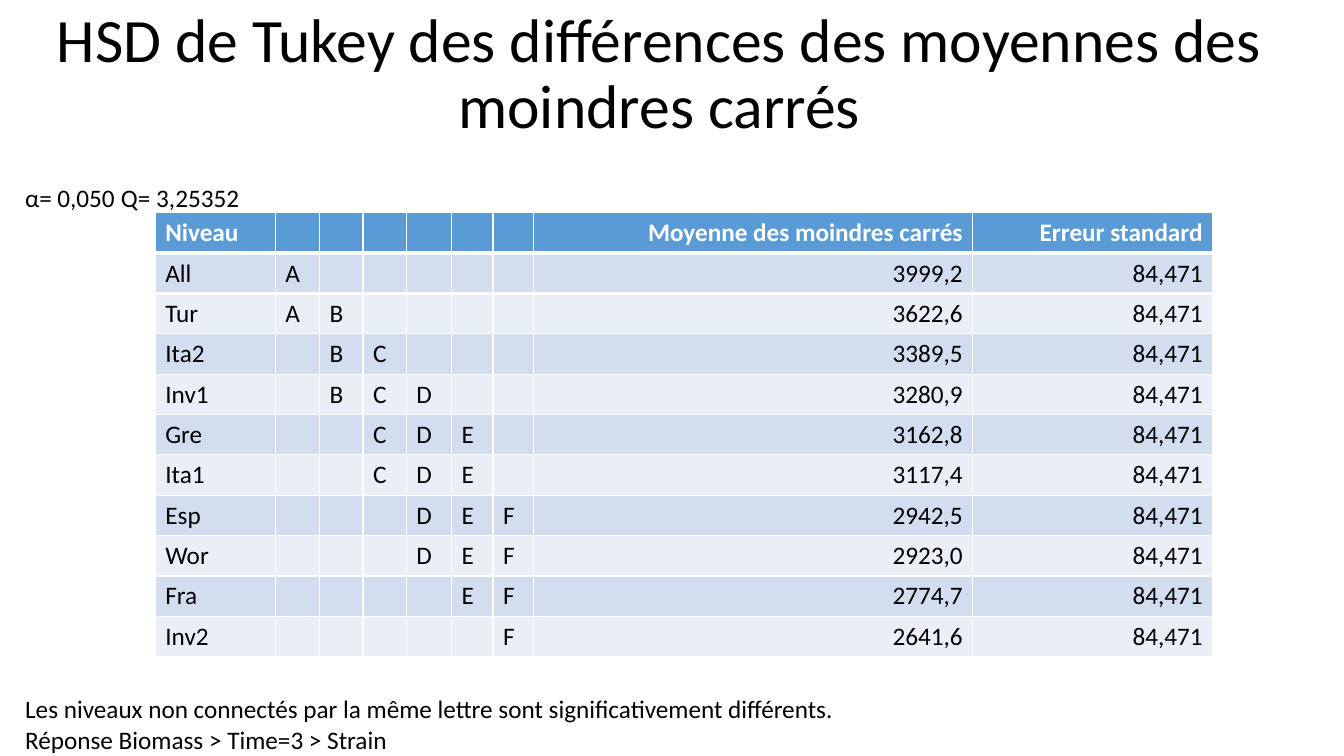
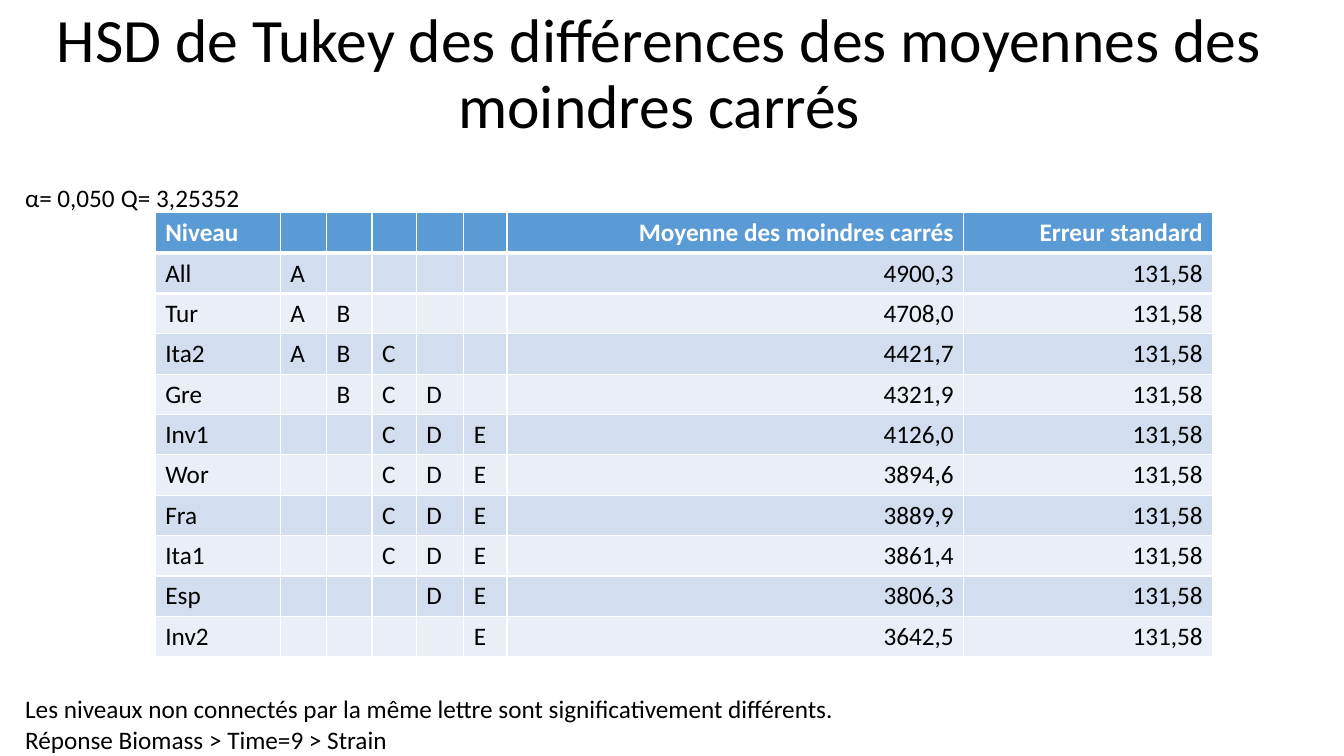
from lxml import etree
from pptx import Presentation
from pptx.dml.color import RGBColor
from pptx.enum.text import MSO_ANCHOR, MSO_AUTO_SIZE, PP_ALIGN
from pptx.oxml.ns import qn
from pptx.util import Inches, Pt

BLACK = RGBColor(0x00, 0x00, 0x00)
WHITE = RGBColor(0xFF, 0xFF, 0xFF)
HEADER = RGBColor(0x5B, 0x9B, 0xD5)
BANDS = [RGBColor(0xD2, 0xDE, 0xEF), RGBColor(0xEA, 0xEF, 0xF7)]
FONT = "Calibri"
TITLE = "HSD de Tukey des différences des moyennes des moindres carrés"
ROW_HEIGHT = 0.4

# Boxes common to both slides: left, top, width, text
LABELS = [
    (0.25, 1.81, 0.29, "α="),
    (0.57, 1.81, 0.6, "0,050"),
    (1.2, 1.81, 0.32, "Q="),
    (1.55, 1.81, 0.86, "3,25352"),
    (0.25, 6.88, 8.1,
     "Les niveaux non connectés par la même lettre sont significativement différents."),
]

# Time, letters, standard error, column widths, rows of (level, groups, mean)
TESTS = [
    (3, "ABCDEF", "84,471", [1.19, 0.44, 0.43, 0.43, 0.45, 0.41, 0.4, 4.36, 2.38], [
        ("All", "A", "3999,2"),
        ("Tur", "AB", "3622,6"),
        ("Ita2", "BC", "3389,5"),
        ("Inv1", "BCD", "3280,9"),
        ("Gre", "CDE", "3162,8"),
        ("Ita1", "CDE", "3117,4"),
        ("Esp", "DEF", "2942,5"),
        ("Wor", "DEF", "2923,0"),
        ("Fra", "EF", "2774,7"),
        ("Inv2", "F", "2641,6"),
    ]),
    (9, "ABCDE", "131,58", [1.24, 0.46, 0.45, 0.44, 0.47, 0.43, 4.53, 2.47], [
        ("All", "A", "4900,3"),
        ("Tur", "AB", "4708,0"),
        ("Ita2", "ABC", "4421,7"),
        ("Gre", "BCD", "4321,9"),
        ("Inv1", "CDE", "4126,0"),
        ("Wor", "CDE", "3894,6"),
        ("Fra", "CDE", "3889,9"),
        ("Ita1", "CDE", "3861,4"),
        ("Esp", "DE", "3806,3"),
        ("Inv2", "E", "3642,5"),
    ]),
]


def write(tf, text, size=18, color=BLACK, bold=False, align=PP_ALIGN.LEFT):
    """Put one formatted paragraph in a text frame and return it."""
    tf.text = text
    p = tf.paragraphs[0]
    p.alignment = align
    p.font.name = FONT
    p.font.size = Pt(size)
    p.font.bold = bold
    p.font.color.rgb = color
    return p


def add_rule(cell, side):
    """Draw a white 3-point border on one side of a cell: a:lnT or a:lnB."""
    ln = etree.Element(qn(side), w=str(Pt(3)))
    fill = etree.SubElement(ln, qn("a:solidFill"))
    etree.SubElement(fill, qn("a:srgbClr"), val=str(WHITE))
    cell._tc.get_or_add_tcPr().insert(0, ln)


prs = Presentation()
prs.slide_width = Inches(13.33)
prs.slide_height = Inches(7.5)

for time, letters, error, widths, levels in TESTS:
    s = prs.slides.add_slide(prs.slide_layouts[6])

    tf = s.shapes.add_textbox(0, 0, Inches(13.08), Inches(1.5)).text_frame
    tf.word_wrap = True
    tf.vertical_anchor = MSO_ANCHOR.MIDDLE
    write(tf, TITLE, size=44, align=PP_ALIGN.CENTER).line_spacing = 0.9

    response = (0.25, 7.19, 3.63, f"Réponse Biomass > Time={time} > Strain")
    for left, top, width, text in LABELS + [response]:
        tf = s.shapes.add_textbox(Inches(left), Inches(top), Inches(width), Inches(0.31)).text_frame
        tf.word_wrap = False
        tf.auto_size = MSO_AUTO_SIZE.SHAPE_TO_FIT_TEXT
        tf.margin_left = tf.margin_top = tf.margin_right = tf.margin_bottom = 0
        write(tf, text)

    rows = [["Niveau", *[""] * len(letters), "Moyenne des moindres carrés", "Erreur standard"]]
    for level, groups, mean in levels:
        rows.append([level, *[x if x in groups else "" for x in letters], mean, error])

    table = s.shapes.add_table(len(rows), len(widths), Inches(1.54), Inches(2.11),
                               Inches(sum(widths)), Inches(ROW_HEIGHT * len(rows))).table
    for column, width in zip(table.columns, widths):
        column.width = Inches(width)
    for i, row in enumerate(rows):
        is_header = i == 0
        for j, text in enumerate(row):
            cell = table.cell(i, j)
            cell.fill.solid()
            cell.fill.fore_color.rgb = HEADER if is_header else BANDS[(i - 1) % 2]
            if i < 2:
                add_rule(cell, "a:lnB" if is_header else "a:lnT")
            write(cell.text_frame, text, color=WHITE if is_header else BLACK, bold=is_header,
                  align=PP_ALIGN.RIGHT if j > len(letters) else PP_ALIGN.LEFT)

prs.save("out.pptx")
